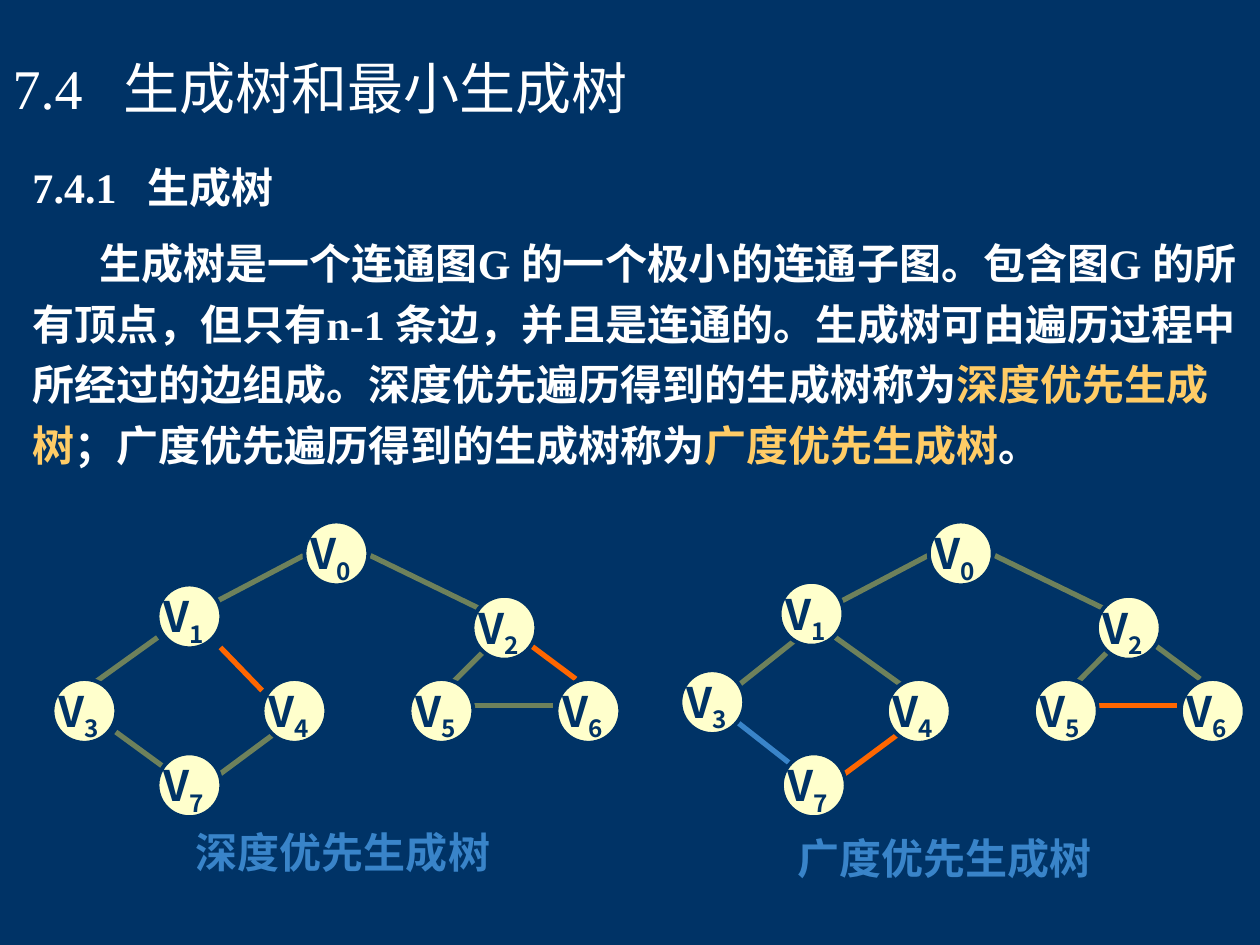
from pptx import Presentation
from pptx.dml.color import RGBColor
from pptx.enum.shapes import MSO_CONNECTOR as Connector, MSO_SHAPE as Shape
from pptx.enum.text import MSO_ANCHOR as Anchor, MSO_AUTO_SIZE as AutoSize, PP_ALIGN as Align
from pptx.oxml.ns import qn
from pptx.util import Pt

NAVY, WHITE, CREAM, GOLD = "003366", "FFFFFF", "FFFFCC", "FFCC66"
OLIVE, ORANGE, BLUE = "6E815B", "FF6600", "3984C9"
SERIF, SANS = "Times New Roman", "Noto Sans CJK SC"
NODE_SIZE = 36.5


def rgb(color):
    return RGBColor.from_string(color)


class Deck:
    def __init__(self, width, height):
        self.presentation = Presentation()
        self.presentation.slide_width = Pt(width)
        self.presentation.slide_height = Pt(height)
        self.slide = None

    def new_slide(self, background):
        layout = self.presentation.slide_layouts.get_by_name("Title Only")
        self.slide = self.presentation.slides.add_slide(layout)
        fill = self.slide.background.fill
        fill.solid()
        fill.fore_color.rgb = rgb(background)

    def style(self, paragraph, size, color, name=SERIF, bold=True):
        font = paragraph.font
        font.size, font.bold, font.name = Pt(size), bold, name
        font.color.rgb = rgb(color)
        properties = paragraph._p.get_or_add_pPr().find(qn("a:defRPr"))
        east_asian = properties.makeelement(qn("a:ea"), {"typeface": SANS})
        properties.find(qn("a:latin")).addnext(east_asian)

    def add_tab(self, paragraph, position):
        properties = paragraph._p.get_or_add_pPr()
        stops = properties.makeelement(qn("a:tabLst"), {})
        stop = stops.makeelement(qn("a:tab"), {"pos": str(Pt(position)), "algn": "l"})
        stops.append(stop)
        properties.append(stops)

    def title(self, text, left, top, width, height, tab):
        heading = self.slide.shapes.title
        heading.left, heading.top = Pt(left), Pt(top)
        heading.width, heading.height = Pt(width), Pt(height)
        frame = heading.text_frame
        frame.auto_size, frame.vertical_anchor = AutoSize.NONE, Anchor.MIDDLE
        frame.text = text
        paragraph = frame.paragraphs[0]
        paragraph.alignment = Align.LEFT
        self.add_tab(paragraph, tab)
        self.style(paragraph, 32, WHITE, bold=False)

    def text_box(self, left, top, width, height, shapes=None):
        shapes = self.slide.shapes if shapes is None else shapes
        frame = shapes.add_textbox(Pt(left), Pt(top), Pt(width), Pt(height)).text_frame
        frame.word_wrap, frame.auto_size = True, AutoSize.SHAPE_TO_FIT_TEXT
        return frame

    def section(self, heading, parts, left, top, width, height, tab, indent):
        """Heading above one indented paragraph made of (text, color) parts."""
        frame = self.text_box(left, top, width, height)
        first, body = frame.paragraphs[0], frame.add_paragraph()
        first.text = heading
        self.add_tab(first, tab)
        body.space_before = Pt(9)
        body._p.get_or_add_pPr().set("indent", str(Pt(indent)))
        for paragraph in (first, body):
            paragraph.line_spacing = 1.2
            self.style(paragraph, 24, WHITE)
        for text, color in parts:
            run = body.add_run()
            run.text = text
            if color != WHITE:
                run.font.color.rgb = rgb(color)

    def caption(self, text, left, top, width, height, spacing):
        paragraph = self.text_box(left, top, width, height).paragraphs[0]
        paragraph.text = text
        paragraph.alignment, paragraph.line_spacing = Align.CENTER, spacing
        self.style(paragraph, 24, BLUE)

    def edge(self, start, end, color):
        line = self.slide.shapes.add_connector(
            Connector.STRAIGHT, *(Pt(value) for value in (*start, *end)))
        line.line.color.rgb, line.line.width = rgb(color), Pt(3)
        properties = line._element.spPr
        properties.append(properties.makeelement(qn("a:effectLst"), {}))

    def node(self, number, left, top):
        """Circle labelled V with a subscript number."""
        shapes = self.slide.shapes.add_group_shape().shapes
        circle = shapes.add_shape(Shape.OVAL, Pt(left), Pt(top), Pt(NODE_SIZE), Pt(NODE_SIZE))
        circle.shadow.inherit = False
        circle.fill.solid()
        circle.fill.fore_color.rgb = rgb(CREAM)
        circle.line.color.rgb, circle.line.width = rgb(NAVY), Pt(2.25)
        label = self.text_box(left - 6, top, 51, 40, shapes)
        label.margin_left = Pt(9.4)
        paragraph = label.paragraphs[0]
        self.style(paragraph, 24, NAVY, SANS)
        paragraph.add_run().text = "V"
        subscript = paragraph.add_run()
        subscript.text = str(number)
        subscript.font._element.set("baseline", "-25000")

    def tree(self, nodes, edges, colors, shift):
        for pair, (x1, y1, x2, y2) in edges.items():
            self.edge((x1 + shift, y1), (x2 + shift, y2), colors.get(pair, OLIVE))
        for number, (left, top) in nodes.items():
            self.node(number, left + shift, top)


# Positions within a tree, in points; edges are keyed by the two node numbers.
NODES = {0: (174, 298), 1: (90, 334), 2: (270, 340.5), 3: (30, 388),
         4: (150, 388), 5: (234, 388), 6: (318, 388), 7: (90, 430.5)}
EDGES = {(0, 1): (173.5, 317.5, 117.4, 347), (0, 2): (211.7, 317.5, 276.5, 349),
         (2, 5): (280, 368.6, 257, 391.7), (2, 6): (303, 368.6, 329, 388),
         (5, 6): (265, 403, 316, 403), (4, 7): (162, 415.4, 120.2, 446.4),
         (1, 3): (90, 364.3, 51.8, 391.7), (1, 4): (126, 370, 149.8, 394.6),
         (3, 7): (66.2, 418.3, 103.7, 445.7)}
BREADTH_NODES = NODES | {1: (88.7, 332.5), 3: (32, 383)}
BREADTH_EDGES = EDGES | {(1, 3): (111.2, 355, 54.3, 400.3),
                         (1, 4): (120.6, 364.3, 158.7, 391.7),
                         (3, 7): (64.4, 412.6, 94.6, 436.3)}
DEFINITION = [
    ("生成树是一个连通图G 的一个极小的连通子图。包含图G 的所有顶点，但只有n-1 条边，"
     "并且是连通的。生成树可由遍历过程中所经过的边组成。深度优先遍历得到的生成树称为", WHITE),
    ("深度优先生成树", GOLD),
    ("；广度优先遍历得到的生成树称为", WHITE),
    ("广度优先生成树", GOLD),
    ("。", WHITE),
]


def main():
    deck = Deck(720, 540)
    deck.new_slide(NAVY)
    deck.title("7.4\t生成树和最小生成树", 0, 37.5, 391, 25, tab=63.5)
    deck.section("7.4.1\t生成树", DEFINITION, 11.5, 83, 705.5, 189, tab=65.5, indent=38.5)
    deck.tree(NODES, EDGES, {(1, 4): ORANGE, (2, 6): ORANGE}, shift=0)
    deck.tree(BREADTH_NODES, BREADTH_EDGES,
              {(5, 6): ORANGE, (4, 7): ORANGE, (3, 7): BLUE}, shift=356.8)
    deck.caption("深度优先生成树", 82, 469, 228, 36, spacing=1.0)
    deck.caption("广度优先生成树", 408, 466.5, 264, 42, spacing=1.2)
    deck.presentation.save("out.pptx")


if __name__ == "__main__":
    main()
